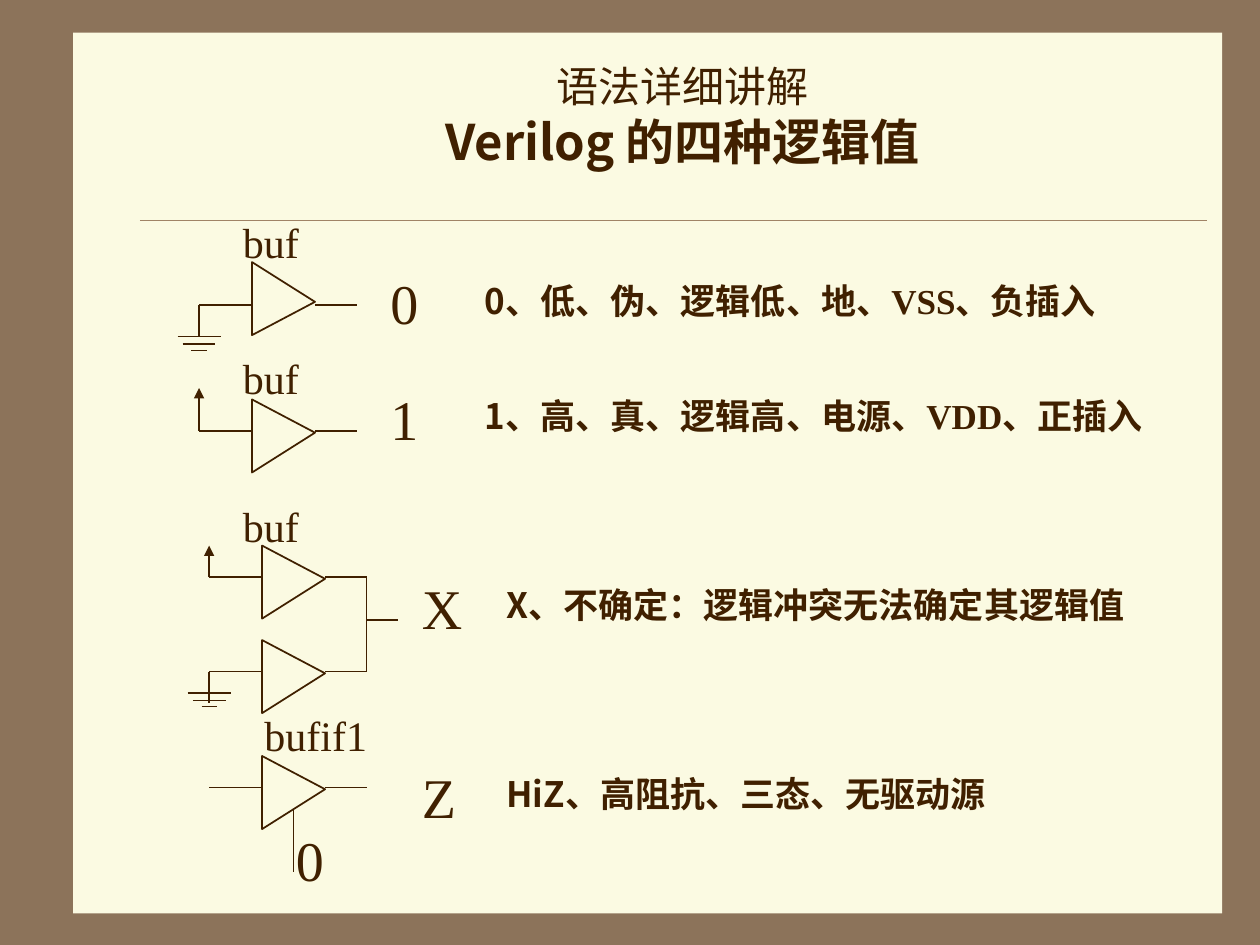
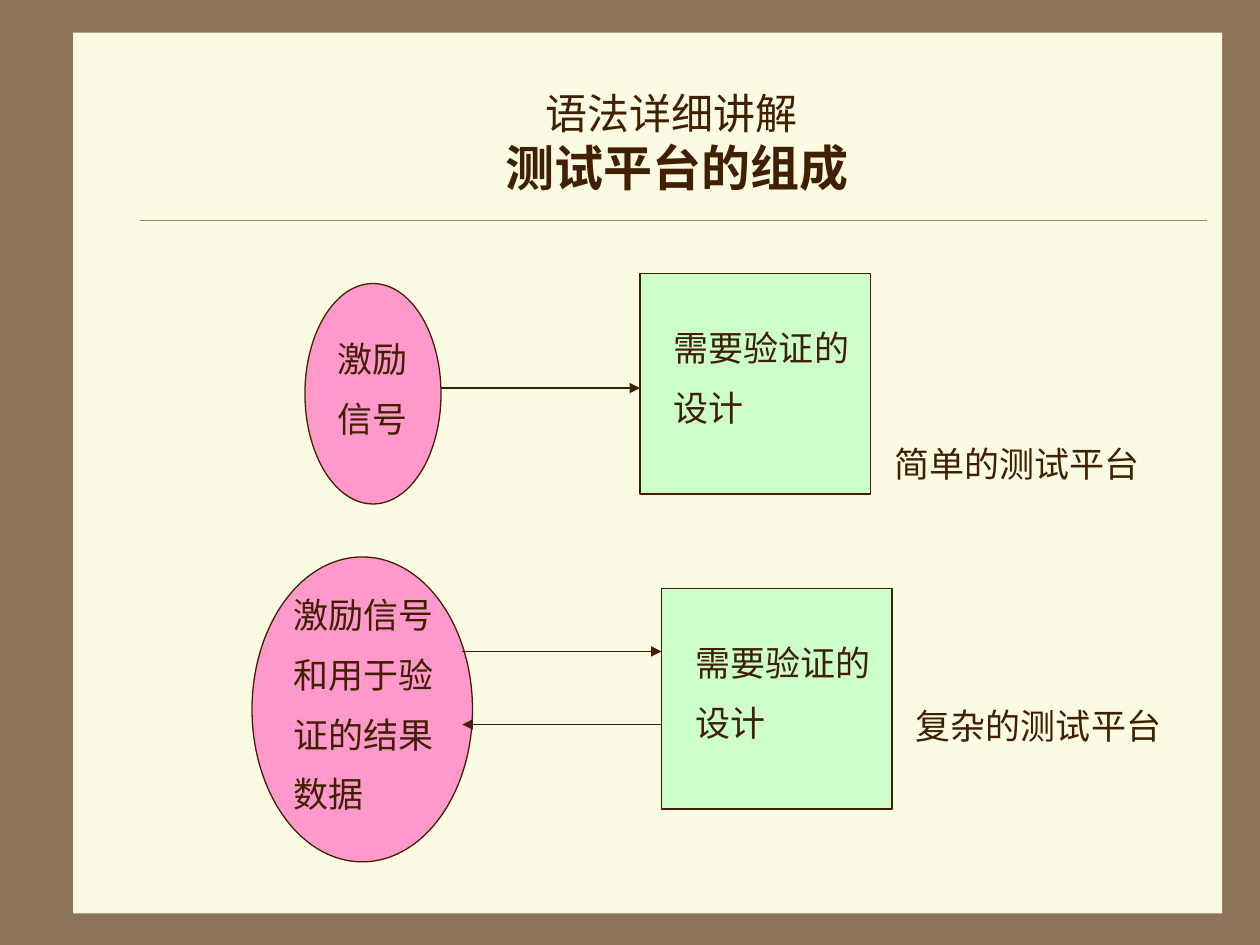
from lxml import etree
from pptx import Presentation
from pptx.dml.color import RGBColor
from pptx.enum.shapes import MSO_CONNECTOR, MSO_SHAPE
from pptx.enum.text import MSO_ANCHOR, PP_ALIGN
from pptx.oxml.ns import qn
from pptx.util import Inches, Pt

FRAME = RGBColor(0x8C, 0x73, 0x5A)
PAPER = RGBColor(0xFB, 0xFA, 0xE2)
RULE = RGBColor(0xA0, 0x83, 0x66)
INK = RGBColor(0x40, 0x20, 0x00)
PINK = RGBColor(0xFF, 0x99, 0xCC)
GREEN = RGBColor(0xCC, 0xFF, 0xCC)

SANS = "Noto Sans CJK SC"
SERIF = "Times New Roman"

STRAIGHT = MSO_CONNECTOR.STRAIGHT
RECTANGLE = MSO_SHAPE.RECTANGLE
OVAL = MSO_SHAPE.OVAL
TRIANGLE = MSO_SHAPE.ISOSCELES_TRIANGLE
LEFT, CENTER, JUSTIFY = PP_ALIGN.LEFT, PP_ALIGN.CENTER, PP_ALIGN.JUSTIFY
TOP, MIDDLE = MSO_ANCHOR.TOP, MSO_ANCHOR.MIDDLE

THIN, GATE_LINE = 0.75, 1
GATE_WIDTH, GATE_HEIGHT = 0.5, 0.58
LEAD_IN, LEAD_OUT, LEAD_DROP = 0.42, 0.33, 0.25
GROUND_BARS = ((0, 0.17), (0.06, 0.13), (0.11, 0.06))  # drop, half width

HEADING = {"size": Pt(24), "name": SANS}
TITLE = {"size": Pt(28), "name": SANS, "bold": True}
MEANING = {"size": Pt(20), "name": SANS, "bold": True}
MEANING_SERIF = {**MEANING, "name": SERIF}
GATE_NAME = {"size": Pt(24), "name": SERIF}
LOGIC_VALUE = {"size": Pt(32), "name": SERIF}
CAPTION = {"size": Pt(20), "name": SANS}


def add_line(slide, start, end, color=INK, width=THIN, arrow=False):
    line = slide.shapes.add_connector(STRAIGHT, *map(Inches, (*start, *end)))
    line.line.color.rgb = color
    line.line.width = Pt(width)
    if arrow:
        etree.SubElement(line.line._get_or_add_ln(), qn("a:tailEnd"), type="triangle")
    etree.SubElement(line._element.spPr, qn("a:effectLst"))


def add_shape(slide, kind, box, fill=None, line_width=None):
    shape = slide.shapes.add_shape(kind, *map(Inches, box))
    shape.shadow.inherit = False
    if fill is None:
        shape.fill.background()
    else:
        shape.fill.solid()
        shape.fill.fore_color.rgb = fill
    if line_width is None:
        shape.line.fill.background()
    else:
        shape.line.color.rgb = INK
        shape.line.width = Pt(line_width)
    return shape


def add_run(paragraph, text, style):
    run = paragraph.add_run()
    run.text = text
    for name, value in style.items():
        setattr(run.font, name, value)
    run.font.color.rgb = INK
    etree.SubElement(run._r.get_or_add_rPr(), qn("a:ea"), typeface=SANS)


def write(shape, paragraphs, align=LEFT, anchor=TOP, **spacing):
    """Fill a shape with paragraphs, each a list of (text, style); None breaks the line."""
    frame = shape.text_frame
    frame.word_wrap = True
    frame.vertical_anchor = anchor
    for index, runs in enumerate(paragraphs):
        paragraph = frame.add_paragraph() if index else frame.paragraphs[0]
        paragraph.alignment = align
        for name, value in spacing.items():
            if index or name != "space_before":
                setattr(paragraph, name, value)
        for run in runs:
            if run is None:
                paragraph.add_line_break()
            else:
                add_run(paragraph, *run)


def add_label(slide, box, lines, style, **spacing):
    label = slide.shapes.add_textbox(*map(Inches, box))
    write(label, [[(line, style)] for line in lines], **spacing)
    return label


def add_caption(slide, box, *lines):
    return add_label(slide, box, lines, CAPTION, line_spacing=0.9, space_before=Pt(12.5))


def add_page(presentation, title, title_box):
    """Add a slide with the framed paper, the rule and the two-line title."""
    slide = presentation.slides.add_slide(presentation.slide_layouts[6])
    slide.background.fill.solid()
    slide.background.fill.fore_color.rgb = FRAME
    add_shape(slide, RECTANGLE, (0.58, 0.26, 9.12, 6.99), PAPER)
    add_line(slide, (1.11, 1.75), (9.58, 1.75), RULE, 0.25)
    heading = slide.shapes.add_textbox(*map(Inches, title_box))
    write(heading, [[("语法详细讲解", HEADING), None, (title, TITLE)]], CENTER, MIDDLE)
    return slide


def add_gate(slide, left, top, lead_drop=LEAD_DROP, apex=0.455):
    """Draw a buffer pointing right; return the outer ends of its input and output."""
    inset = (GATE_HEIGHT - GATE_WIDTH) / 2
    gate = add_shape(slide, TRIANGLE, (left - inset, top + inset, GATE_HEIGHT, GATE_WIDTH),
                     line_width=GATE_LINE)
    gate.adjustments[0] = apex
    gate.rotation = 90
    lead = top + lead_drop
    right = left + GATE_WIDTH
    source, output = (left - LEAD_IN, lead), (right + LEAD_OUT, lead)
    add_line(slide, (left, lead), source, width=GATE_LINE)
    add_line(slide, (right, lead), output, width=GATE_LINE)
    return source, output


def add_ground(slide, source, bars_drop):
    x, y = source
    add_line(slide, source, (x, y + 0.25))
    for drop, half in GROUND_BARS:
        bar = y + bars_drop + drop
        add_line(slide, (x - half, bar), (x + half, bar))


def add_power(slide, source, height):
    x, y = source
    add_line(slide, source, (x, y - height), arrow=True)


def add_gate_name(slide, left, top, name):
    add_label(slide, (left, top, 1.08, 0.5), [name], GATE_NAME)


def add_logic_value(slide, left, top, value):
    add_label(slide, (left, top, 0.67, 0.64), [value], LOGIC_VALUE)


def add_meaning(slide, left, top, height, *runs):
    band = add_shape(slide, RECTANGLE, (left, top, 5.58, height), PAPER)
    write(band, [runs], JUSTIFY)
    properties = band.text_frame.paragraphs[0]._p.get_or_add_pPr()
    properties.set("marL", str(Inches(0.38)))
    properties.set("indent", str(Inches(-0.38)))


def add_low_row(slide, left, top):
    add_meaning(slide, left + 1.75, top + 0.09, 0.77,
                ("0、低、伪、逻辑低、地、", MEANING), ("VSS、负插入", MEANING_SERIF))
    source, _ = add_gate(slide, left, top, lead_drop=0.34, apex=0.545)
    add_ground(slide, source, 0.25)
    add_gate_name(slide, left - 0.17, top - 0.41, "buf")
    add_logic_value(slide, left + 1, top, "0")


def add_high_row(slide, left, top):
    add_meaning(slide, left + 1.75, top - 0.09, 0.77,
                ("1、高、真、逻辑高、电源、", MEANING), ("VDD、正插入", MEANING_SERIF))
    source, _ = add_gate(slide, left, top)
    add_power(slide, source, 0.34)
    add_gate_name(slide, left - 0.17, top - 0.42, "buf")
    add_logic_value(slide, left + 1, top - 0.17, "1")


def add_conflict_row(slide, left, top):
    add_meaning(slide, left + 1.84, top + 0.25, 0.44,
                ("X、不确定：逻辑冲突无法确定其逻辑值", MEANING))
    high_source, high_output = add_gate(slide, left, top)
    low_source, low_output = add_gate(slide, left, top + 0.75)
    add_power(slide, high_source, 0.25)
    add_ground(slide, low_source, 0.17)
    add_line(slide, high_output, low_output)
    join = top + 0.59
    add_line(slide, (high_output[0], join), (high_output[0] + 0.25, join))
    add_gate_name(slide, left - 0.25, top - 0.41, "buf")
    add_logic_value(slide, left + 1.17, top + 0.17, "X")


def add_floating_row(slide, left, top):
    add_meaning(slide, left + 1.84, top + 0.08, 0.44, ("HiZ、高阻抗、三态、无驱动源", MEANING))
    add_gate(slide, left, top)
    add_line(slide, (left + 0.25, top + 0.42), (left + 0.25, top + 0.92))
    add_gate_name(slide, left - 0.08, top - 0.42, "bufif1")
    add_logic_value(slide, left + 1.17, top, "Z")
    add_logic_value(slide, left + 0.17, top + 0.5, "0")


def add_design(slide, left, top):
    add_shape(slide, RECTANGLE, (left, top, 1.83, 1.75), GREEN, THIN)
    add_caption(slide, (left + 0.17, top + 0.41, 1.67, 0.88), "需要验证的", "设计")


def build_logic_values(presentation):
    slide = add_page(presentation, "Verilog 的四种逻辑值", (2.25, 0.33, 6.33, 1.17))
    add_low_row(slide, 2, 2.08)
    add_high_row(slide, 2, 3.17)
    add_conflict_row(slide, 2.08, 4.33)
    add_floating_row(slide, 2.08, 6)


def add_simple_bench(slide, left, top):
    add_shape(slide, OVAL, (left, top + 0.08, 1.08, 1.75), PINK, THIN)
    add_caption(slide, (left + 0.16, top + 0.5, 1, 0.88), "激励", "信号")
    design_left = left + 2.66
    add_design(slide, design_left, top)
    add_line(slide, (left + 1.08, top + 0.91), (design_left, top + 0.91), arrow=True)
    add_caption(slide, (left + 4.58, top + 1.33, 2.5, 0.4), "简单的测试平台")


def add_complex_bench(slide, left, top):
    add_shape(slide, OVAL, (left, top, 1.75, 2.42), PINK, THIN)
    stimulus = add_caption(slide, (left + 0.33, top + 0.33, 1.2, 1.83),
                           "激励信号", "和用于验", "证的结果", "数据")
    for side in ("left", "top", "right", "bottom"):
        setattr(stimulus.text_frame, f"margin_{side}", 0)
    stimulus_edge, design_left = left + 1.67, left + 3.25
    add_design(slide, design_left, top + 0.25)
    for start, end, drop in ((stimulus_edge, design_left, 0.75),
                             (design_left, stimulus_edge, 1.33)):
        add_line(slide, (start, top + drop), (end, top + drop), arrow=True)
    add_caption(slide, (left + 5.17, top + 1.16, 2.17, 0.4), "复杂的测试平台")


def build_test_benches(presentation):
    slide = add_page(presentation, " 测试平台的组成", (1.08, 0.5, 8.5, 1.25))
    add_simple_bench(slide, 2.42, 2.17)
    add_complex_bench(slide, 2, 4.42)


def main():
    presentation = Presentation()
    presentation.slide_width = Inches(10)
    presentation.slide_height = Inches(7.5)
    build_logic_values(presentation)
    build_test_benches(presentation)
    presentation.save("out.pptx")


if __name__ == "__main__":
    main()
